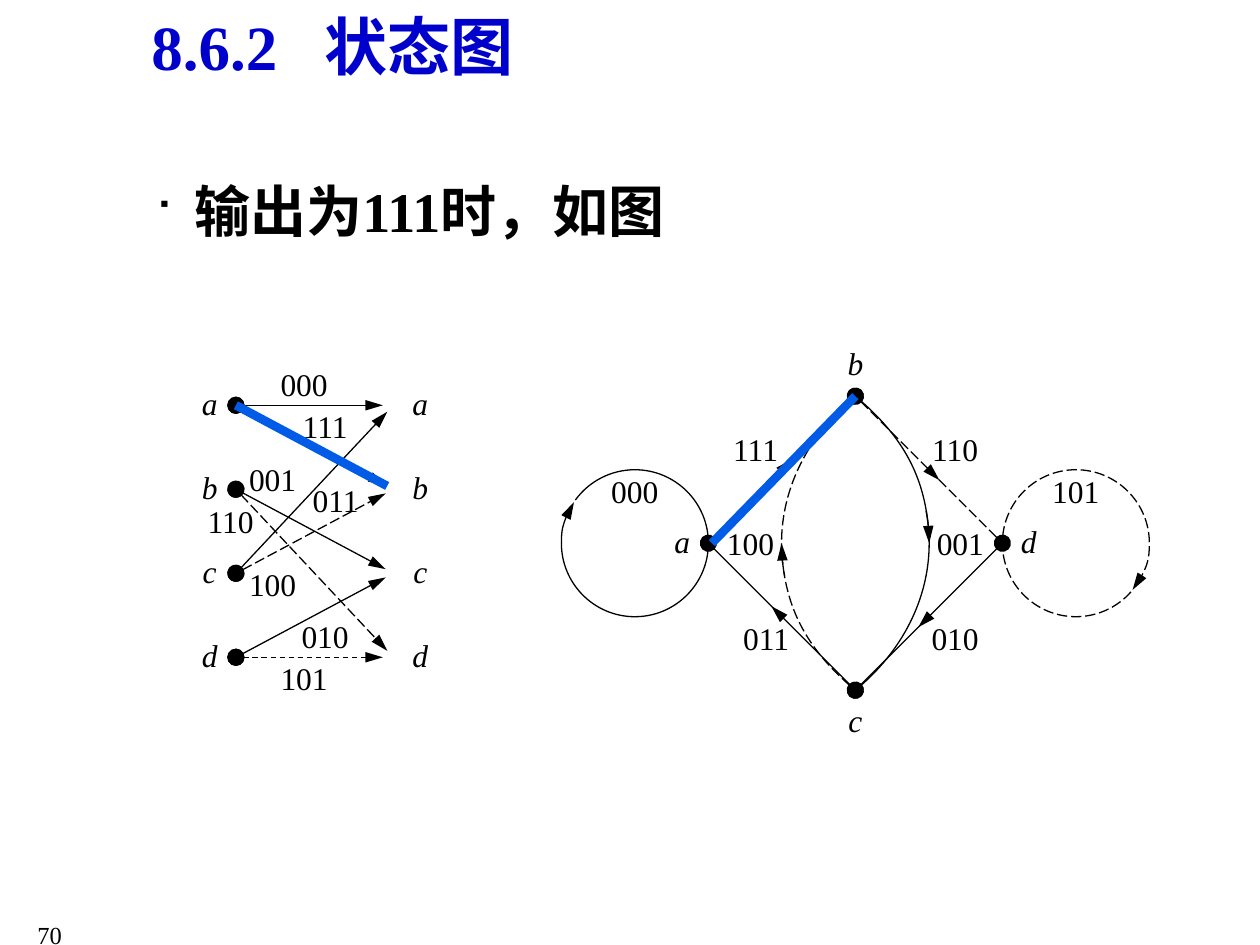
"""Build a slide with a trellis and a state graph of a code."""
from copy import deepcopy
from dataclasses import dataclass
from math import cos, hypot, radians, sin, tan

from lxml.etree import SubElement
from pptx import Presentation
from pptx.dml.color import RGBColor
from pptx.enum.dml import MSO_LINE
from pptx.enum.shapes import MSO_CONNECTOR
from pptx.enum.text import MSO_ANCHOR, PP_ALIGN
from pptx.oxml.ns import qn
from pptx.util import Pt


@dataclass(frozen=True)
class Theme:
    font: str = "Times New Roman"
    black: RGBColor = RGBColor(0, 0, 0)
    navy: RGBColor = RGBColor(0, 0, 0xCC)
    blue: RGBColor = RGBColor(0, 0x5C, 0xE7)
    title: float = 36
    body: float = 32
    label: float = 18
    page: float = 14
    thin: float = 0.75
    thick: float = 5


THEME = Theme()
DASH = MSO_LINE.LONG_DASH
STATES = "abcd"


def move(base, dx, dy):
    """Return the point at an offset from the base."""
    return base[0] + dx, base[1] + dy


def blend(start, end, part):
    """Return the point a given part of the way along."""
    return tuple(p + (q - p) * part for p, q in zip(start, end))


def short(start, end, gap=5):
    """Return the point that stops a gap before the end."""
    return blend(start, end, 1 - gap / hypot(end[0] - start[0], end[1] - start[1]))


def stroke(shape, color=THEME.black, width=THEME.thin, dash=None, head=False, tail=False):
    """Set the line of a shape, with a dot at its head and an arrow at its tail."""
    shape.line.color.rgb = color
    shape.line.width = Pt(width)
    if dash:
        shape.line.dash_style = dash
    props = shape.element.spPr
    line = props.find(qn("a:ln"))
    if head:
        SubElement(line, qn("a:headEnd"), type="oval", w="lg", len="lg")
    if tail:
        SubElement(line, qn("a:tailEnd"), type="triangle", w="med", len="lg")
    SubElement(props, qn("a:effectLst"))


def link(slide, start, end, **look):
    """Draw a straight line between two points."""
    ends = [Pt(v) for v in (*start, *end)]
    stroke(slide.shapes.add_connector(MSO_CONNECTOR.STRAIGHT, *ends), **look)


def bend(mid, radii, first, last):
    """Return the Bezier points of an elliptic arc, split at each quadrant."""
    cuts = [t for t in range(-360, 721, 90) if min(first, last) < t < max(first, last)]
    stops = [first, *sorted(cuts, reverse=last < first), last]
    spot = lambda c, s: move(mid, radii[0] * c, radii[1] * s)
    points = [spot(cos(radians(first)), sin(radians(first)))]
    for one, two in zip(map(radians, stops), map(radians, stops[1:])):
        k = 4 / 3 * tan((two - one) / 4)
        points += [spot(cos(one) - k * sin(one), sin(one) + k * cos(one)),
                   spot(cos(two) + k * sin(two), sin(two) - k * cos(two)),
                   spot(cos(two), sin(two))]
    return points


def arc(slide, mid, radii, first, last, **look):
    """Draw part of an ellipse between two angles, framed with its center."""
    points = [(Pt(x), Pt(y)) for x, y in [*bend(mid, radii, first, last), mid]]
    build = slide.shapes.build_freeform(*points[0])
    build.add_line_segments(points[1:], close=True)
    shape = build.convert_to_shape()
    shape.fill.background()
    wedge = next(shape.element.iter(qn("a:path")))
    steps = wedge.findall(qn("a:lnTo"))[:len(points) - 2]
    for i in range(0, len(steps), 3):
        curve = SubElement(wedge, qn("a:cubicBezTo"))
        steps[i].addprevious(curve)
        for step in steps[i:i + 3]:
            curve.append(step[0])
            wedge.remove(step)
    edge = deepcopy(wedge)
    for part in edge[-2:]:
        edge.remove(part)
    edge.set("fill", "none")
    wedge.set("stroke", "0")
    wedge.addprevious(edge)
    stroke(shape, **look)


def write(slide, box, text, size, color=THEME.black, bold=False, align=PP_ALIGN.LEFT,
          bullet=False):
    """Add a wrapped line of text and return its paragraph."""
    frame = slide.shapes.add_textbox(*[Pt(v) for v in box]).text_frame
    frame.word_wrap = True
    par = frame.paragraphs[0]
    par.text = text
    par.alignment = align
    if bullet:
        props = par._p.get_or_add_pPr()
        props.set("marL", str(Pt(58.5)))
        props.set("indent", str(Pt(-22.5)))
        SubElement(props, qn("a:buSzPct"), val="75000")
        SubElement(props, qn("a:buFont"), typeface="Wingdings")
        SubElement(props, qn("a:buChar"), char="■")
    style(par, size, color, bold)
    return par


def style(par, size, color=THEME.black, bold=False, slant=False):
    """Set the font of a paragraph."""
    font = par.font
    font.name, font.size, font.bold, font.italic = THEME.font, Pt(size), bold, slant
    font.color.rgb = color


def head(slide):
    """Add the title, with a wide space after its number."""
    par = write(slide, (-85, 0.7, 550, 51), "8.6.2", THEME.title, THEME.navy, True,
                PP_ALIGN.CENTER)
    space, name = par.add_run(), par.add_run()
    space.text, name.text = " ", "状态图"
    space._r.get_or_add_rPr().set("spc", "1800")


def label(slide, mid, text, slant=False):
    """Center a short label on a point."""
    wide, high = (18 if slant else 54), 24
    box = [Pt(v) for v in (*move(mid, -wide / 2, -high / 2), wide, high)]
    frame = slide.shapes.add_textbox(*box).text_frame
    frame.word_wrap = False
    frame.margin_left = frame.margin_right = frame.margin_top = frame.margin_bottom = 0
    frame.vertical_anchor = MSO_ANCHOR.TOP if slant else MSO_ANCHOR.MIDDLE
    par = frame.paragraphs[0]
    par.text = text
    par.alignment = PP_ALIGN.CENTER
    style(par, THEME.label, slant=slant)


def trellis(slide):
    """Draw the trellis of the four states."""
    base, wide, step = (134.8, 231.6), 90, 48
    left = {s: move(base, 0, step * i) for i, s in enumerate(STATES)}
    right = {s: move(p, wide, 0) for s, p in left.items()}
    edges = [("aa", None), ("dd", MSO_LINE.DASH), ("ab", DASH), ("bc", None),
             ("dc", None), ("ca", None), ("bd", DASH), ("cb", DASH)]
    for (p, q), dash in edges:
        end = short(left[p], right[q], 6 if p == q else 5)
        link(slide, left[p], end, dash=dash, head=True, tail=True)
    for s in STATES:
        link(slide, right[s], right[s], head=True)
        label(slide, move(left[s], -15, 0), s, slant=True)
        label(slide, move(right[s], 15.4, 0), s, slant=True)
    for text, dx, dy in [("000", 39, -12), ("111", 51, 12), ("101", 39, 156),
                         ("010", 51, 132), ("110", -3, 66), ("100", 21, 102),
                         ("011", 57, 54), ("001", 21, 42)]:
        label(slide, move(base, dx, dy), text)
    link(slide, left["a"], short(left["a"], right["b"], 4), color=THEME.blue,
         width=THEME.thick)


def graph(slide):
    """Draw the state graph as a diamond with loops and curves."""
    mid, reach, loop = (488.8, 310.4), 84, 42
    ways = {"a": (-1, 0), "b": (0, -1), "c": (0, 1), "d": (1, 0)}
    nodes = {s: move(mid, reach * x, reach * y) for s, (x, y) in ways.items()}
    oval = (144, reach / sin(radians(45)))
    shift = oval[0] * cos(radians(45))
    for side, dash, first in [(-1, None, -45), (1, DASH, 135)]:
        core = move(mid, side * shift, 0)
        arc(slide, core, oval, first, first + 45, dash=dash, head=True, tail=True)
        arc(slide, core, oval, first + 90, first + 36, dash=dash)
    for s, first, dash in [("a", 216, None), ("d", 41.5, DASH)]:
        core = move(nodes[s], ways[s][0] * loop, 0)
        arc(slide, core, (loop, loop), first, first + 358, dash=dash, tail=True)
    for (p, q), dash in [("ab", DASH), ("bd", DASH), ("dc", None), ("ca", None)]:
        start, end = nodes[p], nodes[q]
        link(slide, start, blend(start, end, 48 / reach), dash=dash, head=True, tail=True)
        link(slide, blend(start, end, 0.5), end, dash=dash)
    for s, (x, y) in ways.items():
        label(slide, move(nodes[s], 15 * x, 18 * y), s, slant=True)
    for text, dx, dy in [("000", -126, -30), ("111", -57, -54), ("001", 60, 0),
                         ("110", 57, -54), ("011", -51, 54), ("010", 57, 54),
                         ("101", 126, -30), ("100", -60, 0)]:
        label(slide, move(mid, dx, dy), text)
    link(slide, nodes["b"], move(nodes["a"], 2, 0), color=THEME.blue, width=THEME.thick)


def main():
    """Build and save the slide."""
    deck = Presentation()
    deck.slide_width, deck.slide_height = Pt(720), Pt(540)
    slide = deck.slides.add_slide(deck.slide_layouts[6])
    write(slide, (45.4, 97.2, 392.4, 46.8), "输出为111时，如图", THEME.body, bold=True,
          bullet=True)
    trellis(slide)
    graph(slide)
    head(slide)
    write(slide, (-54, 522, 96.5, 36), "70", THEME.page, align=PP_ALIGN.RIGHT)
    deck.save("out.pptx")


if __name__ == "__main__":
    main()
